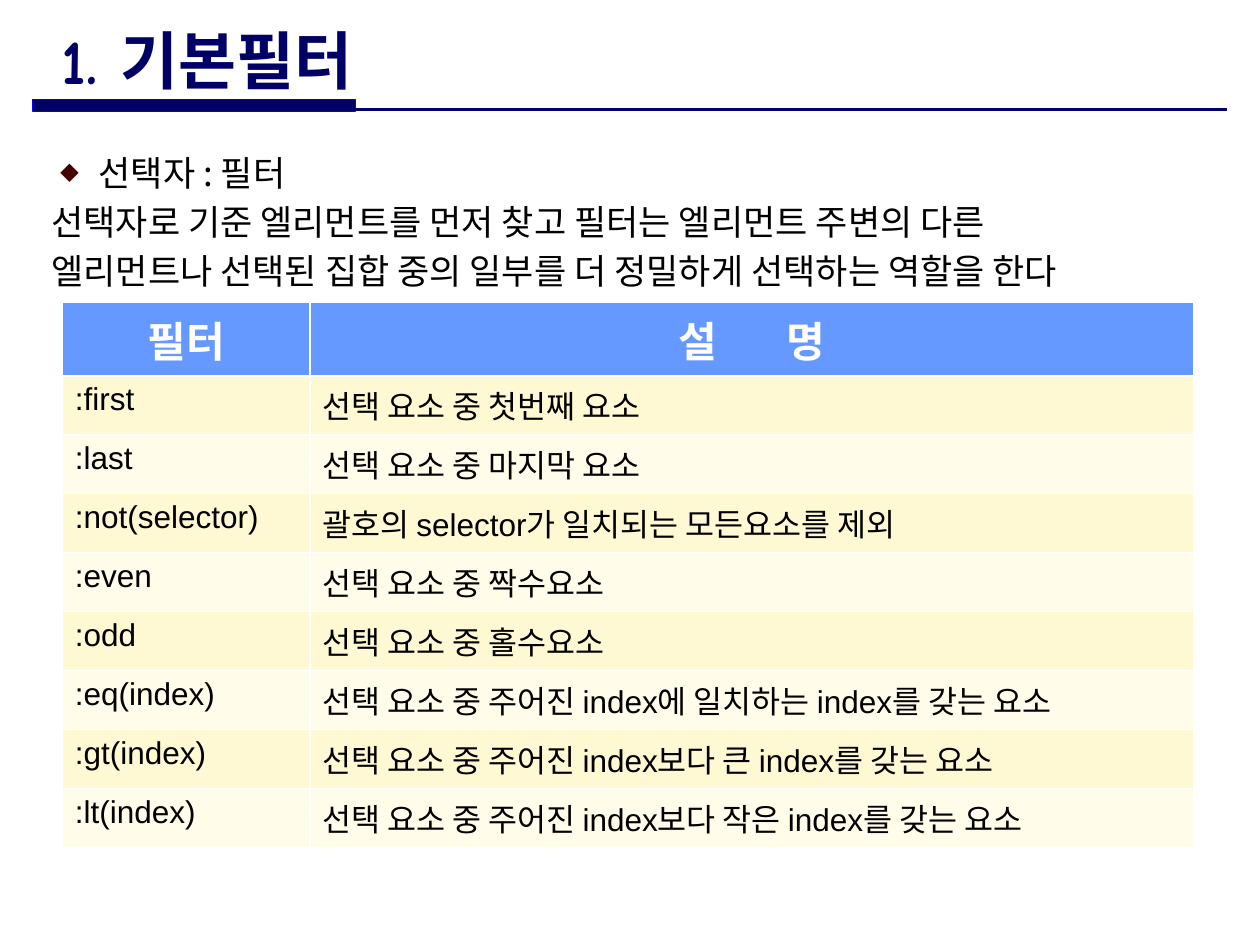
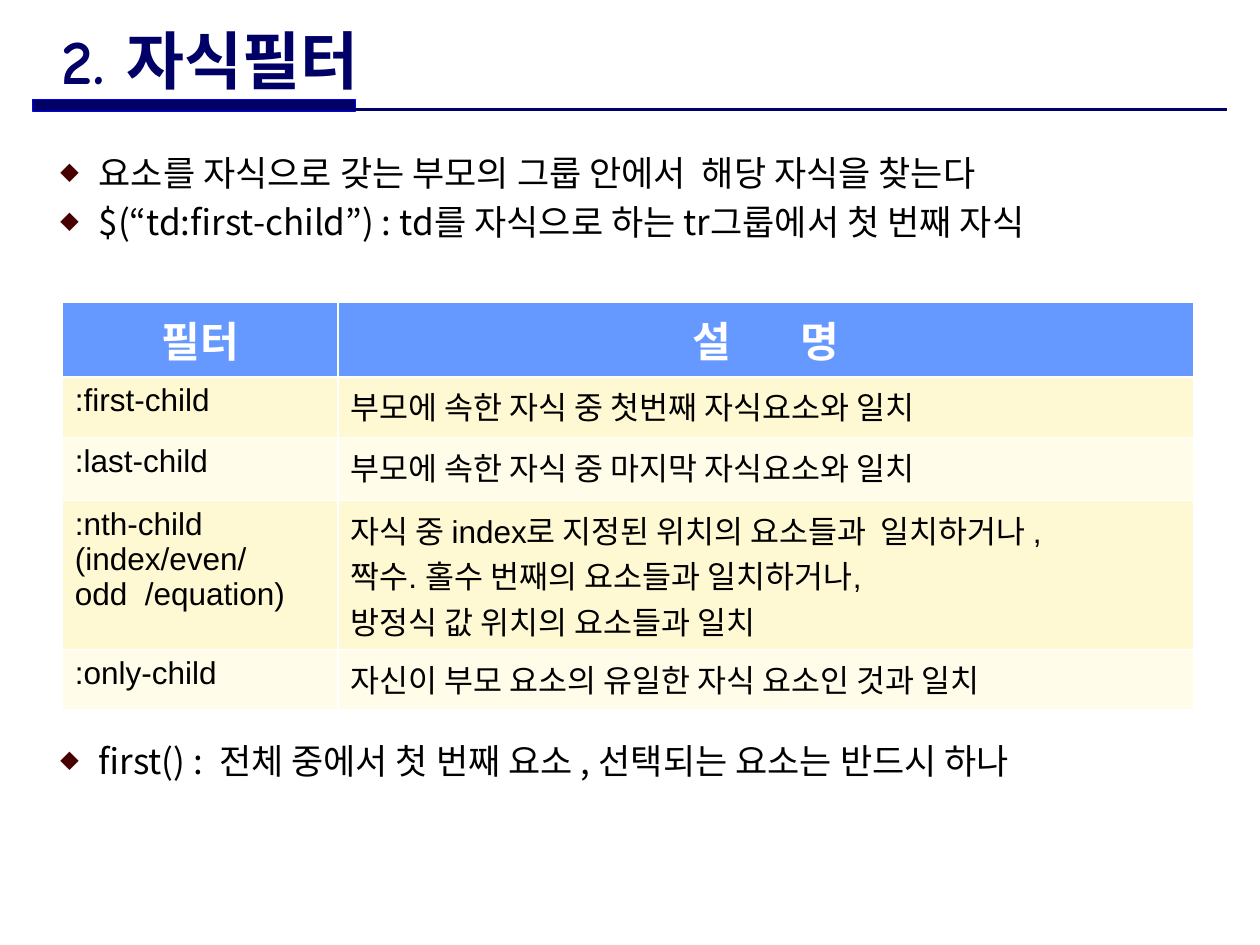
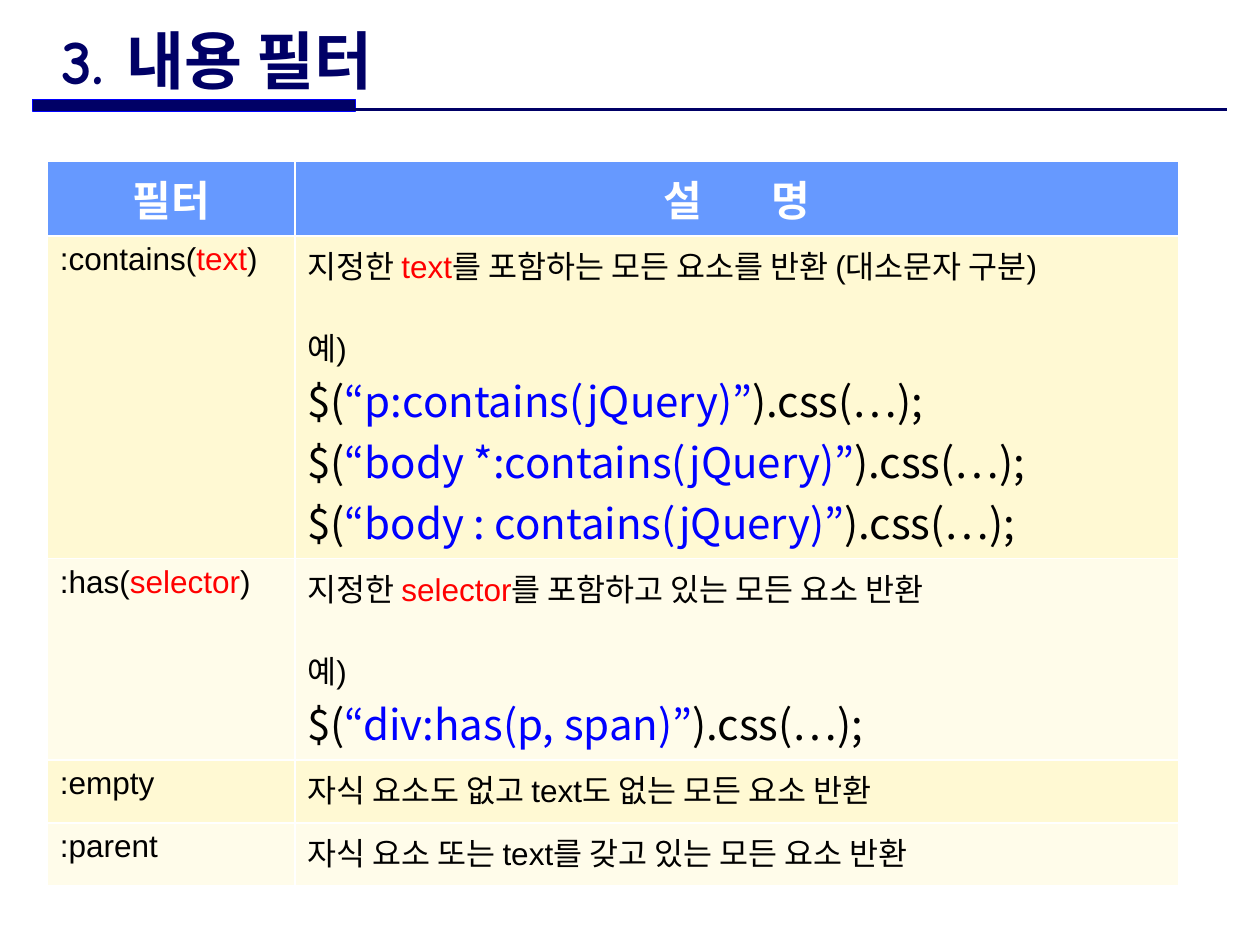
from lxml.etree import SubElement
from pptx import Presentation
from pptx.dml.color import RGBColor
from pptx.enum.shapes import MSO_CONNECTOR as Connector, MSO_SHAPE as Preset
from pptx.enum.text import MSO_ANCHOR as Anchor, MSO_AUTO_SIZE as AutoSize, PP_ALIGN as Align
from pptx.oxml.ns import qn
from pptx.util import Pt

KOREAN = "Noto Sans CJK KR"
COLORS = {
    "navy": "000066", "edge": "0000FF", "header": "6699FF", "odd": "FFF9D3",
    "even": "FFFCEA", "bullet": "460000", "black": "000000", "white": "FFFFFF",
    "red": "FF0000", "blue": "0000FF",
}
STYLES = {
    "title": {"name": "Comic Neue", "size": Pt(36), "bold": True, "color": "navy"},
    "body": {"name": KOREAN, "size": Pt(20), "bold": False, "color": "black"},
    "header": {"name": "Arial", "size": Pt(24), "bold": True, "color": "white"},
    "cell": {"name": "Arial", "size": Pt(18), "bold": False, "color": "black"},
    "code": {"name": KOREAN, "size": Pt(24), "bold": False, "color": "black"},
}
STYLES["term"] = {**STYLES["cell"], "color": "red"}
STYLES["selector"] = {**STYLES["code"], "color": "blue"}

TABLE_WIDTH = 646.5
BODY_LEFT, BODY_TOP, BODY_WIDTH, BODY_PITCH = 22.3, 78.8, 679, 28
HEADER_GAP = 34
EXAMPLE_GAP = 20.5

BASIC_FILTERS = [
    (":first", "선택 요소 중 첫번째 요소"),
    (":last", "선택 요소 중 마지막 요소"),
    (":not(selector)", "괄호의 selector가 일치되는 모든요소를 제외"),
    (":even", "선택 요소 중 짝수요소"),
    (":odd", "선택 요소 중 홀수요소"),
    (":eq(index)", "선택 요소 중 주어진 index에 일치하는 index를 갖는 요소"),
    (":gt(index)", "선택 요소 중 주어진 index보다 큰 index를 갖는 요소"),
    (":lt(index)", "선택 요소 중 주어진 index보다 작은 index를 갖는 요소"),
]
CHILD_FILTERS = [
    (":first-child", "부모에 속한 자식 중 첫번째 자식요소와 일치"),
    (":last-child", "부모에 속한 자식 중 마지막 자식요소와 일치"),
    (":nth-child\n(index/even/odd  /equation)",
     "자식 중 index로 지정된 위치의 요소들과  일치하거나 ,\n"
     "짝수. 홀수 번째의 요소들과 일치하거나,\n"
     "방정식 값 위치의 요소들과 일치"),
    (":only-child", "자신이 부모 요소의 유일한 자식 요소인 것과 일치"),
]


def rgb(name):
    """Return a palette colour."""
    return RGBColor.from_string(COLORS[name])


def add_run(paragraph, text, style):
    """Add a run in a named style, with a matching East Asian font."""
    run = paragraph.add_run()
    run.text = text
    for key, value in STYLES[style].items():
        if key == "color":
            run.font.color.rgb = rgb(value)
        else:
            setattr(run.font, key, value)
    properties = run._r.get_or_add_rPr()
    SubElement(properties, qn("a:ea"), typeface=KOREAN)
    return properties


def add_paragraphs(frame, lines, **formats):
    """Fill a text frame with lines of (text, style) runs."""
    for index, line in enumerate(lines):
        paragraph = frame.paragraphs[0] if index == 0 else frame.add_paragraph()
        for key, value in formats.items():
            setattr(paragraph, key, value)
        for text, style in line:
            add_run(paragraph, text, style)


def add_bullet(paragraph):
    """Give a paragraph a hanging diamond bullet."""
    properties = paragraph._p.get_or_add_pPr()
    properties.set("marL", str(Pt(27)))
    properties.set("indent", str(Pt(-22)))
    color = SubElement(properties, qn("a:buClr"))
    SubElement(color, qn("a:srgbClr"), val=COLORS["bullet"])
    SubElement(properties, qn("a:buSzPct"), val="54000")
    SubElement(properties, qn("a:buFont"), typeface=KOREAN)
    SubElement(properties, qn("a:buChar"), char="◆")


def add_body(slide, lines, bullets, row=0):
    """Add body lines from a row of the line grid, the first ones bulleted."""
    box = slide.shapes.add_textbox(
        Pt(BODY_LEFT), Pt(BODY_TOP + row * BODY_PITCH),
        Pt(BODY_WIDTH), Pt(len(lines) * BODY_PITCH + 8))
    frame = box.text_frame
    frame.word_wrap = True
    add_paragraphs(frame, [[(line, "body")] for line in lines],
                   line_spacing=Pt(BODY_PITCH))
    for paragraph in frame.paragraphs[:bullets]:
        add_bullet(paragraph)


def cell_lines(content):
    """Turn plain text into lines of runs; leave prepared lines alone."""
    if isinstance(content, str):
        return [[(line, "cell")] for line in content.split("\n")]
    return content


def add_header(table):
    """Write the two column headings, the second one spread out."""
    for cell, text in zip(table.rows[0].cells, ("필터", "설 명")):
        cell.fill.solid()
        cell.fill.fore_color.rgb = rgb("header")
        paragraph = cell.text_frame.paragraphs[0]
        paragraph.alignment = Align.CENTER
        for part in text.partition(" "):
            if part:
                properties = add_run(paragraph, part, "header")
                if part == " ":
                    properties.set("spc", str(HEADER_GAP * 100))


def add_filter_table(slide, left, top, first_width, heights, rows):
    """Add a table of filters and what they select."""
    table = slide.shapes.add_table(
        len(rows) + 1, 2, Pt(left), Pt(top), Pt(TABLE_WIDTH), Pt(sum(heights))).table
    table.horz_banding = False
    for column, width in zip(table.columns, (first_width, TABLE_WIDTH - first_width)):
        column.width = Pt(width)
    for row, height in zip(table.rows, heights):
        row.height = Pt(height)
    add_header(table)
    for index, contents in enumerate(rows, 1):
        for cell, content in zip(table.rows[index].cells, contents):
            cell.fill.solid()
            cell.fill.fore_color.rgb = rgb("odd" if index % 2 else "even")
            add_paragraphs(cell.text_frame, cell_lines(content))
    return table


def filter_with_term(name, term):
    """Return the line for a filter whose argument stands out."""
    return [[(f":{name}(", "cell"), (term, "term"), (")", "cell")]]


def example_lines(term, ending, selectors):
    """Return a description followed by code examples."""
    intro = [("지정한 ", "cell"), (term, "term"), (ending, "cell")]
    examples = [[("$(", "code"), (f"“{selector}”", "selector"), (").css(…);", "code")]
                for selector in selectors]
    return [intro, [("예)", "cell")], *examples]


def decorate_layout(layout, slide):
    """Draw the title band and rule and move them to the layout."""
    band = slide.shapes.add_shape(Preset.RECTANGLE, Pt(18.7), Pt(56.9), Pt(184.3), Pt(6.5))
    band.shadow.inherit = False
    band.fill.solid()
    band.fill.fore_color.rgb = rgb("navy")
    band.line.color.rgb = rgb("edge")
    band.line.width = Pt(0.75)
    rule = slide.shapes.add_connector(
        Connector.STRAIGHT, Pt(18.7), Pt(62.6), Pt(701.3), Pt(62.6))
    rule.line.color.rgb = rgb("navy")
    rule.line.width = Pt(1.5)
    SubElement(rule.element.spPr, qn("a:effectLst"))
    tree = layout.shapes.element
    for shape in (band, rule):
        tree.append(shape.element)
    for number, item in enumerate(tree.iter(qn("p:cNvPr")), 1):
        item.set("id", str(number))


def add_titled_slide(presentation, layout, title):
    """Add a slide and set its title."""
    slide = presentation.slides.add_slide(layout)
    shape = slide.shapes.title
    box = {"left": 28.1, "top": 15.1, "width": 489, "height": 37.4}
    for key, value in box.items():
        setattr(shape, key, Pt(value))
    frame = shape.text_frame
    formats = {"word_wrap": True, "auto_size": AutoSize.NONE,
               "vertical_anchor": Anchor.MIDDLE}
    for key, value in formats.items():
        setattr(frame, key, value)
    add_paragraphs(frame, [[(title, "title")]], alignment=Align.LEFT)
    return slide


def build_basic_filters(slide):
    """Fill the slide on basic filters."""
    add_body(slide, [
        "선택자 : 필터",
        "선택자로 기준 엘리먼트를 먼저 찾고 필터는 엘리먼트 주변의 다른",
        "엘리먼트나 선택된 집합 중의 일부를 더 정밀하게 선택하는 역할을 한다",
    ], bullets=1)
    heights = [41.8] + [33.7] * len(BASIC_FILTERS)
    add_filter_table(slide, 35.6, 173, 141.5, heights, BASIC_FILTERS)


def build_child_filters(slide):
    """Fill the slide on child filters."""
    add_body(slide, [
        "요소를 자식으로 갖는 부모의 그룹 안에서  해당 자식을 찾는다",
        "$(“td:first-child”) : td를 자식으로 하는 tr그룹에서 첫 번째 자식",
    ], bullets=2)
    add_body(slide, ["first() :  전체 중에서 첫 번째 요소 , 선택되는 요소는 반드시 하나"],
             bullets=1, row=12)
    heights = [42.4, 34.5, 36, 85.3, 34.5]
    add_filter_table(slide, 35.6, 173, 157.5, heights, CHILD_FILTERS)


def build_content_filters(slide):
    """Fill the slide on content filters."""
    rows = [
        (filter_with_term("contains", "text"),
         example_lines("text", "를 포함하는 모든 요소를 반환 (대소문자 구분)",
                       ["p:contains(jQuery)", "body *:contains(jQuery)",
                        "body : contains(jQuery)"])),
        (filter_with_term("has", "selector"),
         example_lines("selector", "를 포함하고 있는 모든 요소 반환",
                       ["div:has(p, span)"])),
        (":empty", "자식 요소도 없고 text도 없는 모든 요소 반환"),
        (":parent", "자식 요소 또는 text를 갖고 있는 모든 요소 반환"),
    ]
    heights = [42.4, 184.5, 115, 36, 36]
    table = add_filter_table(slide, 27, 92.4, 141.5, heights, rows)
    for index in (1, 2):
        example = table.cell(index, 1).text_frame.paragraphs[1]
        example.space_before = Pt(EXAMPLE_GAP)


def main():
    """Build and save the presentation."""
    presentation = Presentation()
    presentation.slide_width, presentation.slide_height = Pt(720), Pt(540)
    layout = presentation.slide_layouts[5]
    pages = [
        ("1. 기본필터", build_basic_filters),
        ("2. 자식필터", build_child_filters),
        ("3. 내용 필터", build_content_filters),
    ]
    for title, build in pages:
        build(add_titled_slide(presentation, layout, title))
    decorate_layout(layout, presentation.slides[0])
    presentation.save("out.pptx")


main()
